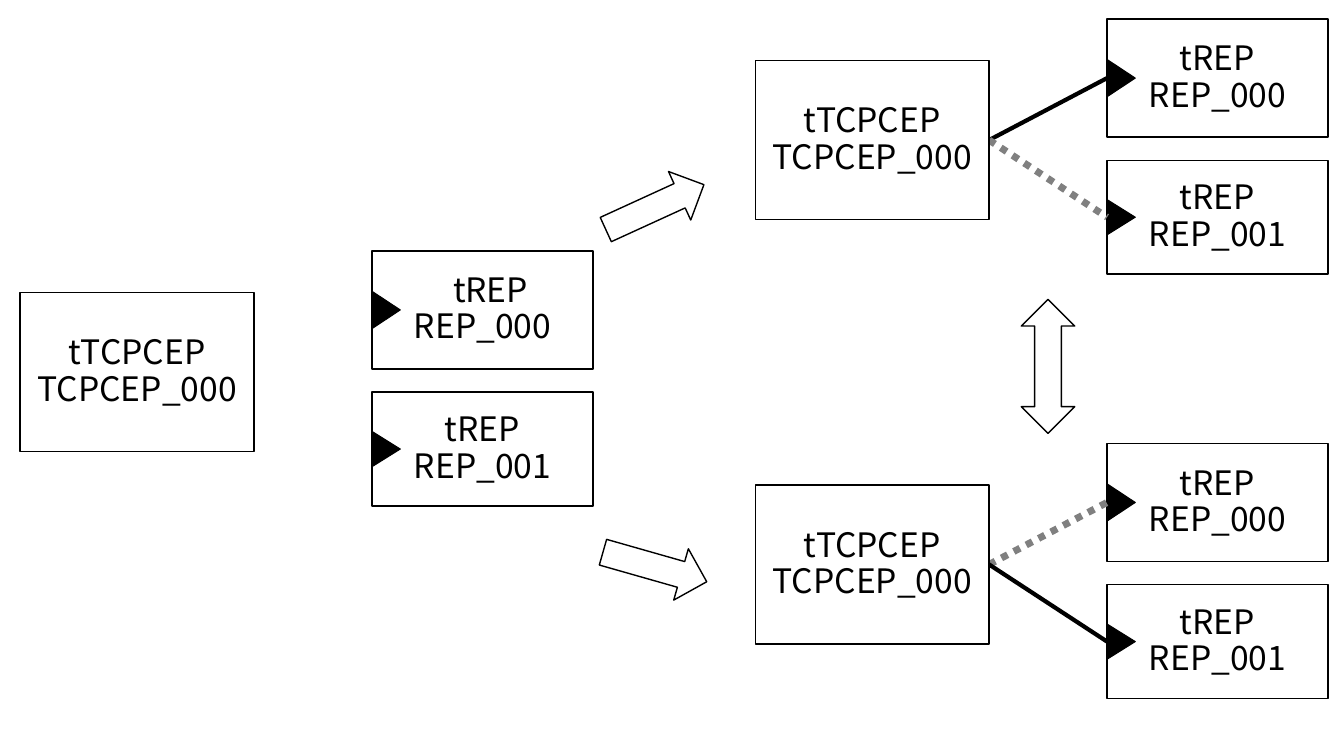
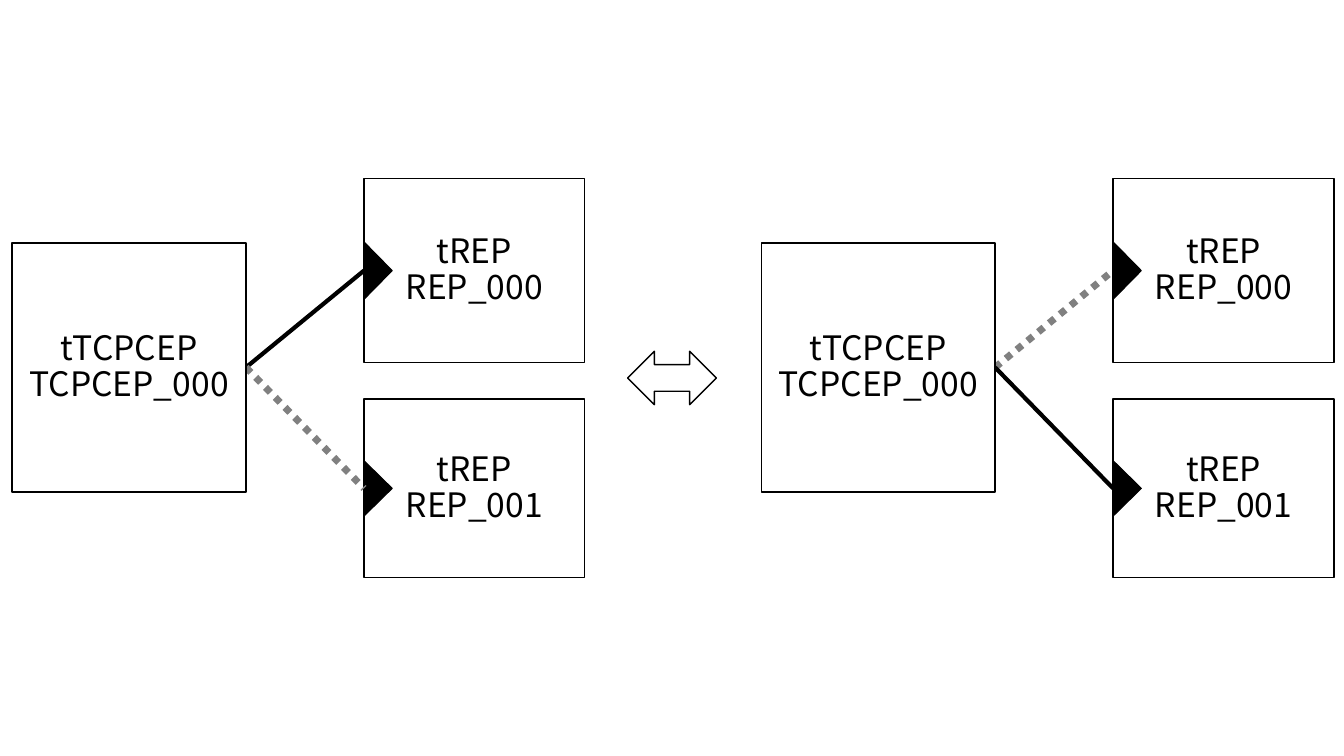
"""Build two slides showing how a TCPCEP cell switches between two REP cells."""
from pptx import Presentation, util as u
from pptx.dml.color import RGBColor
from pptx.enum import dml, shapes, text
from pptx.oxml.xmlchemy import OxmlElement

PX = 9144
FONT = "Noto Sans CJK JP"
BLACK = RGBColor(0, 0, 0)
GREY = RGBColor(128, 128, 128)
WHITE = RGBColor(255, 255, 255)
KIND = shapes.MSO_SHAPE

BOX_WIDTH, REP_WIDTH, REP_OFFSET = 232, 219, 349
PORT_DEPTH, PORT_RATIO = 28, 0.313
FRAME_FORMAT = {"word_wrap": True, "vertical_anchor": text.MSO_ANCHOR.MIDDLE}
PARAGRAPH_FORMAT = {"alignment": text.PP_ALIGN.CENTER, "line_spacing": 0.9}
FONT_FORMAT = {"name": FONT, "size": u.Pt(24)}
ACTIVE_LINK = {"width": u.Pt(3), "dash_style": dml.MSO_LINE.SOLID}
IDLE_LINK = {"width": u.Pt(5), "dash_style": dml.MSO_LINE.ROUND_DOT}

SLIDES = [
    {
        "box_height": 158,
        "reps": [("REP_000", -41, 117), ("REP_001", 99, 113)],
        "states": [(749, 60, 0), (749, 481, 1), (20, 290, None)],
        "arrows": [
            (KIND.RIGHT_ARROW, 596, 179, 107, 53, 335.4),
            (KIND.RIGHT_ARROW, 596, 536, 107, 53, 15.9),
            (KIND.UP_DOWN_ARROW, 1013, 297, 53, 133, 0),
        ],
    },
    {
        "box_height": 247,
        "reps": [("REP_000", -64, 183), ("REP_001", 155, 177)],
        "states": [(12, 241, 0), (755, 241, 1)],
        "arrows": [(KIND.UP_DOWN_ARROW, 640, 331, 53, 88, 90)],
    },
]


def add_outline(slide, kind, left, top, width, height, fill=None, line_width=1, rotation=0):
    shape = slide.shapes.add_shape(kind, *(round(n * PX) for n in (left, top, width, height)))
    shape.shadow.inherit = False
    shape.rotation = rotation
    if fill is None:
        shape.fill.background()
    else:
        shape.fill.solid()
        shape.fill.fore_color.rgb = fill
    shape.line.color.rgb = BLACK
    shape.line.width = u.Pt(line_width)
    return shape


def add_cell(slide, left, top, width, height, lines, first_indent=0):
    frame = add_outline(slide, KIND.RECTANGLE, left, top, width, height, WHITE).text_frame
    for name, value in FRAME_FORMAT.items():
        setattr(frame, name, value)
    frame.text = "\n".join(lines)
    for paragraph in frame.paragraphs:
        for name, value in PARAGRAPH_FORMAT.items():
            setattr(paragraph, name, value)
        font = paragraph.runs[0].font
        for name, value in FONT_FORMAT.items():
            setattr(font, name, value)
        font.color.rgb = BLACK
    if first_indent:
        frame.paragraphs[0]._p.get_or_add_pPr().set("marL", str(first_indent * PX))


presentation = Presentation()
presentation.slide_width = 1333 * PX
presentation.slide_height = 750 * PX

for layout in SLIDES:
    slide = presentation.slides.add_slide(presentation.slide_layouts[6])
    box_height = layout["box_height"]
    for left, top, active in layout["states"]:
        rep_left = left + REP_OFFSET
        for index, (rep_name, offset, rep_height) in enumerate(layout["reps"]):
            rep_top = top + offset
            middle = rep_top + rep_height / 2
            indent = 16 if active is None and index == 0 else 0
            add_cell(slide, rep_left, rep_top, REP_WIDTH, rep_height, ["tREP", rep_name], indent)

            port_width = round(rep_height * PORT_RATIO)
            add_outline(slide, KIND.ISOSCELES_TRIANGLE, rep_left + (PORT_DEPTH - port_width) / 2,
                        middle - PORT_DEPTH / 2, port_width, PORT_DEPTH, BLACK, 0.75, 90)

            if active is None:
                continue
            ends = (left + BOX_WIDTH, top + box_height / 2, rep_left, middle)
            link = slide.shapes.add_connector(
                shapes.MSO_CONNECTOR.STRAIGHT, *(round(n * PX) for n in ends))
            link._element.spPr.append(OxmlElement("a:effectLst"))
            link.line.color.rgb = BLACK if index == active else GREY
            for name, value in (ACTIVE_LINK if index == active else IDLE_LINK).items():
                setattr(link.line, name, value)
        add_cell(slide, left, top, BOX_WIDTH, box_height, ["tTCPCEP", "TCPCEP_000"])

    for kind, left, top, width, height, rotation in layout["arrows"]:
        add_outline(slide, kind, left, top, width, height, rotation=rotation)

presentation.save("out.pptx")
